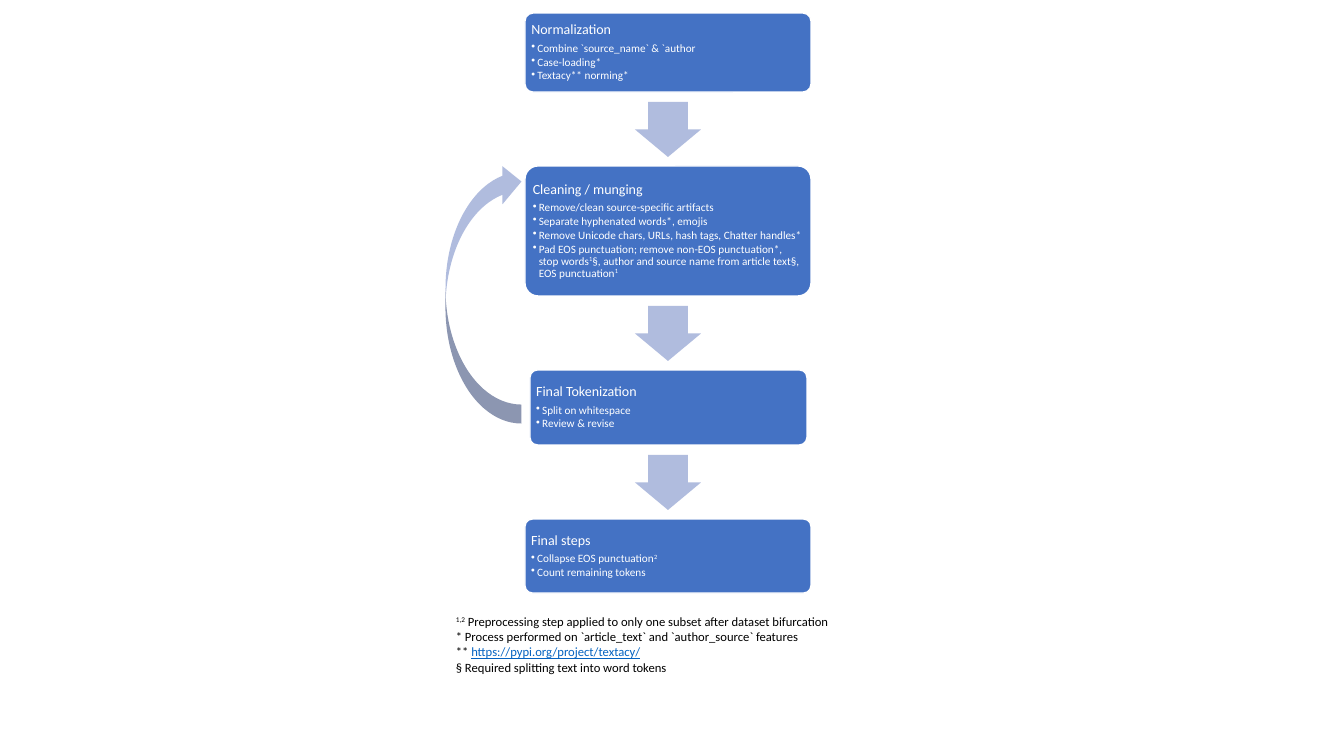
"""Draw a text cleaning pipeline as a vertical flow with footnotes."""
import pptx
import pptx.util
import pptx.dml.color
import pptx.enum.shapes
import pptx.enum.text
import lxml.etree

Pt = pptx.util.Pt
RGB = pptx.dml.color.RGBColor
KIND = pptx.enum.shapes.MSO_SHAPE
ALIGN = pptx.enum.text.PP_ALIGN
ANCHOR = pptx.enum.text.MSO_ANCHOR
BLUE = RGB(0x44, 0x72, 0xC4)
PALE = RGB(0xB0, 0xBC, 0xDE)
WHITE = RGB(0xFF, 0xFF, 0xFF)
BLACK = RGB(0, 0, 0)
LINK = RGB(0x05, 0x63, 0xC1)


def px(n):
    return round(n * 914400 / 100.8)


def put(item, form):
    for name, value in form.items():
        setattr(item, name, value)


class Deck:
    HEAD = {"size": Pt(10), "color": WHITE}
    ITEM = {"size": Pt(8), "color": WHITE}
    NOTE = {"size": Pt(9), "color": BLACK}
    TIGHT = {"line_spacing": 0.9, "alignment": ALIGN.LEFT}
    FRAME = {"word_wrap": True, "vertical_anchor": ANCHOR.MIDDLE,
             "margin_left": px(4), "margin_right": px(4),
             "margin_top": px(4), "margin_bottom": px(4)}

    def __init__(self):
        self.file = pptx.Presentation()
        put(self.file, {"slide_width": px(1344), "slide_height": px(756)})
        self.slide = self.file.slides.add_slide(self.file.slide_layouts[6])

    def shape(self, kind, area, fill, adjust=()):
        shape = self.slide.shapes.add_shape(kind, *map(px, area))
        shape.shadow.inherit = False
        shape.fill.solid()
        shape.fill.fore_color.rgb = fill
        shape.line.fill.background()
        for i, value in enumerate(adjust):
            shape.adjustments[i] = value
        return shape

    def para(self, frame, first, parts, font, form, hang=0, mark=None):
        para = frame.paragraphs[0] if first else frame.add_paragraph()
        put(para, form)
        props = para._p.get_or_add_pPr()
        props.set("marL", str(px(hang)))
        props.set("indent", str(-px(hang)))
        if mark:
            tag = pptx.oxml.ns.qn("a:buChar")
            lxml.etree.SubElement(props, tag).set("char", mark)
        for part in parts:
            text, look = (part, "") if isinstance(part, str) else part
            run = para.add_run()
            run.text = text
            put(run.font, {"name": "Calibri", "size": font["size"]})
            run.font.color.rgb = LINK if look == "link" else font["color"]
            if look == "link":
                run.font.underline = True
            if look == "sup":
                run._r.get_or_add_rPr().set("baseline", "30000")

    def box(self, area, title, items):
        shape = self.shape(KIND.ROUNDED_RECTANGLE, area, BLUE, [0.1])
        shape.line.color.rgb = WHITE
        shape.line.width = Pt(1)
        frame = shape.text_frame
        put(frame, self.FRAME)
        self.para(frame, True, [title], self.HEAD,
                  {**self.TIGHT, "space_after": Pt(3.5)})
        for parts in items:
            self.para(frame, False, parts, self.ITEM,
                      {**self.TIGHT, "space_after": Pt(1.2)}, 6, "•")

    def notes(self, area, lines):
        frame = self.slide.shapes.add_textbox(*map(px, area)).text_frame
        frame.word_wrap = True
        for i, parts in enumerate(lines):
            self.para(frame, i == 0, parts, self.NOTE, {}, 38)


STEPS = [
    ("Normalization", 286, 79, [
        ["Combine `source_name` & `author"],
        ["Case-loading*"],
        ["Textacy** norming*"]]),
    ("Cleaning / munging", 286, 130, [
        ["Remove/clean source-specific artifacts"],
        ["Separate hyphenated words*, emojis"],
        ["Remove Unicode chars, URLs, hash tags, Chatter handles*"],
        ["Pad EOS punctuation; remove non-EOS punctuation*, stop words",
         ("1", "sup"),
         "§, author and source name from article text§, EOS punctuation",
         ("1", "sup")]]),
    ("Final Tokenization", 277, 75, [
        ["Split on whitespace"],
        ["Review & revise"]]),
    ("Final steps", 286, 74, [
        ["Collapse EOS punctuation", ("2", "sup")],
        ["Count remaining tokens"]]),
]
NOTES = [
    [("1,2", "sup"),
     " Preprocessing step applied to only one subset after dataset bifurcation"],
    ["* Process performed on `article_text` and `author_source` features"],
    ["** ", ("https://pypi.org/project/textacy/", "link")],
    ["§ Required splitting text into word tokens"],
]
MID, GAP = 668, 74

deck = Deck()
top = 13
for i, (title, wide, high, items) in enumerate(STEPS):
    if i:
        deck.shape(KIND.DOWN_ARROW, (MID - 33, top - GAP + 10, 66, 55),
                   PALE, [0.6, 0.5])
    deck.box((MID - wide // 2, top, wide, high), title, items)
    top += high + GAP

loop = deck.shape(KIND.CURVED_UP_ARROW, (353, 255, 261, 76), PALE)
loop.rotation = 90
loop._element.spPr.xfrm.set("flipH", "1")
deck.notes((446, 609, 409, 72), NOTES)
deck.file.save("out.pptx")
